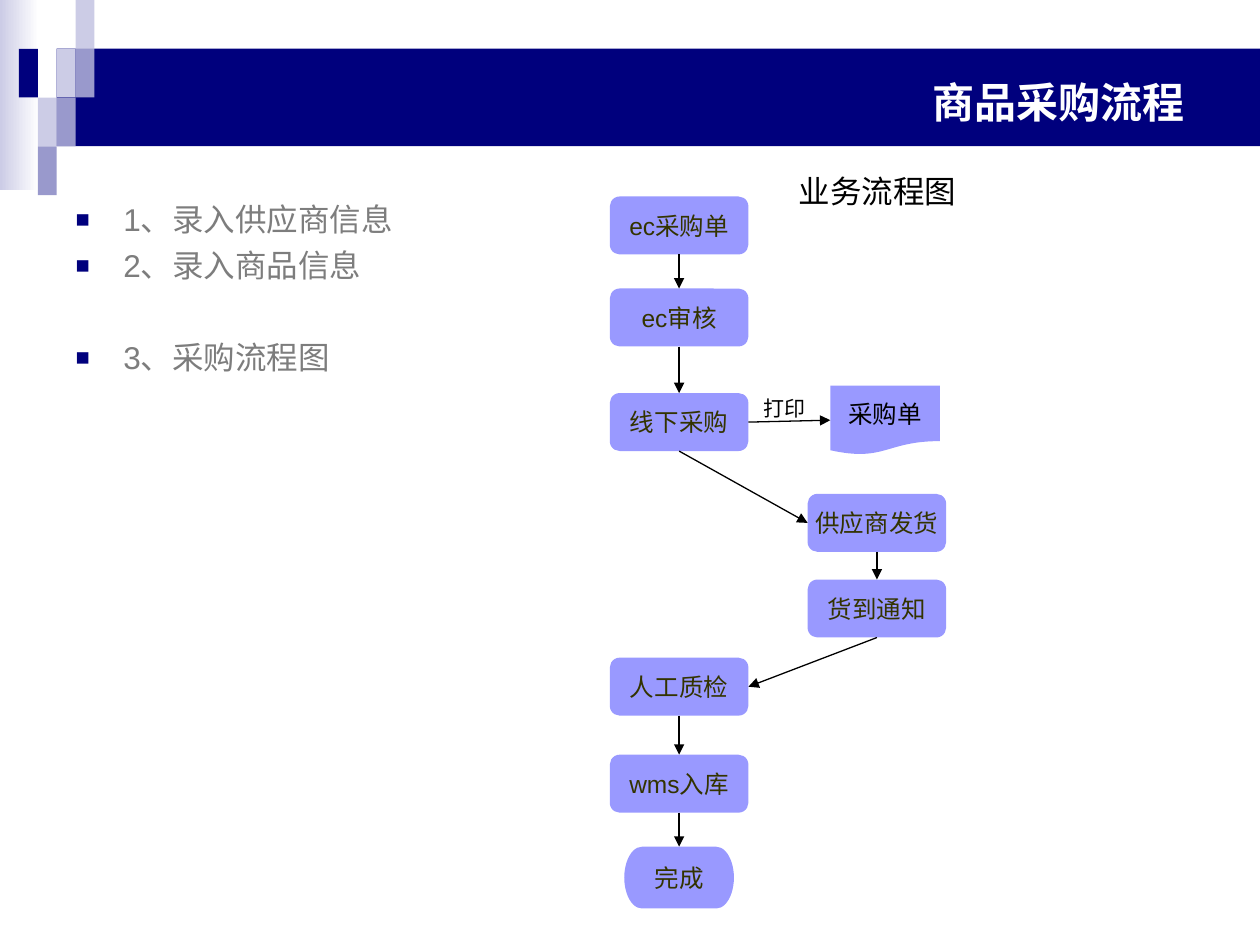
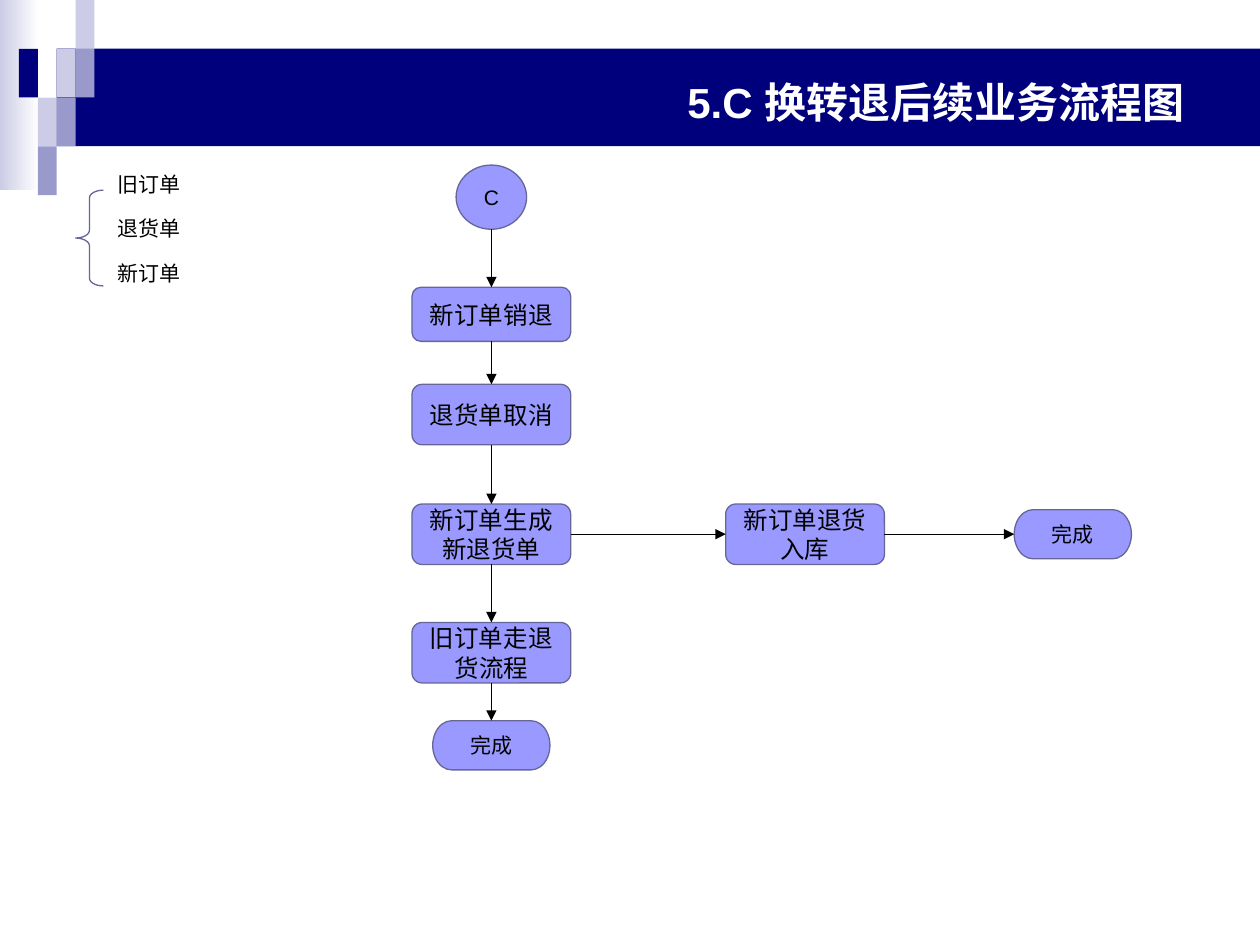
from dataclasses import dataclass

from lxml import etree
from pptx import Presentation
from pptx import util as u
from pptx.dml.color import RGBColor
from pptx.enum import shapes, text
from pptx.oxml.ns import qn

UNIT = u.Inches(0.1)
PRESET = shapes.MSO_SHAPE
TOP, LEFT, BOTTOM, RIGHT = range(4)


@dataclass(frozen=True)
class Theme:
    font: str = "Arial"
    navy: str = "00007D"
    mid: str = "9999CC"
    light: str = "CCCCE6"
    white: str = "FFFFFF"
    black: str = "000000"
    grey: str = "7D7D7D"
    node: str = "9999FF"
    outline: str = "666699"
    olive: str = "333300"
    title_size: int = 24
    list_size: int = 18
    node_size: int = 14
    small_size: int = 12
    line: float = 0.75


THEME = Theme()


@dataclass(frozen=True)
class Box:
    left: float
    top: float
    width: float
    height: float

    def inner(self, left, top, width, height):
        return Box(self.left + left, self.top + top, width, height)

    def emu(self):
        return [round(n * UNIT) for n in (self.left, self.top, self.width, self.height)]


SLIDE = Box(0, 0, 100, 75)


def rgb(code):
    return RGBColor.from_string(code)


def style_text(frame, size, color, align, bold=False):
    for para in frame.paragraphs:
        para.alignment = align
        for span in para.runs:
            span.font.name = THEME.font
            span.font.size = u.Pt(size)
            span.font.bold = bold
            span.font.color.rgb = rgb(color)


def add_figure(parent, preset, box, fill=None, outline=None):
    figure = parent.shapes.add_shape(preset, *box.emu())
    figure.shadow.inherit = False
    if fill:
        figure.fill.solid()
        figure.fill.fore_color.rgb = rgb(fill)
    else:
        figure.fill.background()
    if outline:
        figure.line.color.rgb = rgb(outline)
        figure.line.width = u.Pt(THEME.line)
    else:
        figure.line.fill.background()
    return figure


def add_label(page, box, wording, size):
    label = page.shapes.add_textbox(*box.emu())
    frame = label.text_frame
    frame.text = wording
    frame.word_wrap = False
    frame.auto_size = text.MSO_AUTO_SIZE.SHAPE_TO_FIT_TEXT
    style_text(frame, size, THEME.black, text.PP_ALIGN.LEFT)


def add_node(page, box, wording, preset, color, size=THEME.node_size, outline=None, wrap=False):
    node = add_figure(page, preset, box, THEME.node, outline)
    if preset == PRESET.ROUNDED_RECTANGLE:
        node.adjustments[0] = 0.17
    frame = node.text_frame
    frame.text = wording
    frame.word_wrap = wrap
    frame.vertical_anchor = text.MSO_ANCHOR.MIDDLE
    style_text(frame, size, color, text.PP_ALIGN.CENTER)
    return node


def side_point(node, side):
    across = {LEFT: 0, RIGHT: node.width}.get(side, node.width // 2)
    down = {TOP: 0, BOTTOM: node.height}.get(side, node.height // 2)
    return node.left + across, node.top + down


def add_arrow(page, source, start_side, target, end_side):
    arrow = page.shapes.add_connector(
        shapes.MSO_CONNECTOR.STRAIGHT,
        *side_point(source, start_side), *side_point(target, end_side))
    if source.auto_shape_type != PRESET.FLOWCHART_CONNECTOR:
        arrow.begin_connect(source, start_side)
    arrow.end_connect(target, end_side)
    arrow.line.color.rgb = rgb(THEME.black)
    arrow.line.width = u.Pt(THEME.line)
    etree.SubElement(arrow.line._get_or_add_ln(), qn("a:tailEnd"), type="triangle")
    etree.SubElement(arrow.element.spPr, qn("a:effectLst"))


def put_band_on_master(deck, page, box):
    band = page.shapes.add_group_shape()
    fade = add_figure(band, PRESET.RECTANGLE, box.inner(0, 0, 3.1, 15.1), THEME.white)
    fade.fill.gradient()
    fade.fill.gradient_angle = 180
    for stop, color, position in zip(fade.fill.gradient_stops, (THEME.white, THEME.light), (0, 1)):
        stop.color.rgb = rgb(color)
        stop.position = position
    add_figure(band, PRESET.RECTANGLE, box.inner(4.5, 3.85, box.width - 4.5, 7.75), THEME.navy)
    step_x, step_y = 1.5, 3.87
    tiles = [(3, 1, THEME.light), (4, 0, THEME.light), (4, 1, THEME.mid), (2, 2, THEME.light),
             (1, 1, THEME.navy), (3, 2, THEME.mid), (2, 3, THEME.mid)]
    for column, row, color in tiles:
        tile = box.inner(column * step_x, row * step_y, step_x, step_y)
        add_figure(band, PRESET.RECTANGLE, tile, color)
    deck.slide_master.shapes.element.insert(2, band.element)


def place(holder, box):
    holder.left, holder.top, holder.width, holder.height = box.emu()
    holder.text_frame.auto_size = text.MSO_AUTO_SIZE.NONE


def set_title(page, box, wording):
    title = page.shapes.title
    place(title, box)
    title.text_frame.text = wording
    title.text_frame.vertical_anchor = text.MSO_ANCHOR.MIDDLE
    style_text(title.text_frame, THEME.title_size, THEME.white, text.PP_ALIGN.RIGHT, True)


def set_list(page, box, entries):
    body = page.placeholders[1]
    place(body, box)
    frame = body.text_frame
    frame.text = "\n".join(wording for wording, _ in entries)
    style_text(frame, THEME.list_size, THEME.grey, text.PP_ALIGN.LEFT)
    indent = u.Inches(0.38)
    for para, (_, gap) in zip(frame.paragraphs, entries):
        para.space_before = u.Pt(gap)
        props = para._p.get_or_add_pPr()
        props.set("marL", str(indent))
        props.set("indent", str(-indent))
        color = etree.SubElement(props, qn("a:buClr"))
        etree.SubElement(color, qn("a:srgbClr"), val=THEME.navy)
        etree.SubElement(props, qn("a:buSzPct"), val="75000")
        etree.SubElement(props, qn("a:buFont"), typeface=THEME.font)
        etree.SubElement(props, qn("a:buChar"), char="■")


def draw_purchase_flow(page, box):
    width, height, lane = 11, 4.6, 15.7
    steps = [("ec采购单", 0, 2.4), ("ec审核", 0, 9.7), ("线下采购", 0, 18),
             ("供应商发货", lane, 26), ("货到通知", lane, 32.8),
             ("人工质检", 0, 39), ("wms入库", 0, 46.7)]
    order, review, buying, shipping, notice, checking, storing = [
        add_node(page, box.inner(left, top, width, height), wording,
                 PRESET.ROUNDED_RECTANGLE, THEME.olive)
        for wording, left, top in steps]
    done = add_node(page, box.inner((width - 8.7) / 2, 54, 8.7, 4.9), "完成",
                    PRESET.FLOWCHART_TERMINATOR, THEME.olive)
    sheet = add_node(page, box.inner(17.5, 17.4, 8.7, 5.5), "采购单",
                     PRESET.FLOWCHART_DOCUMENT, THEME.black)
    for source, start, target, end in [
            (order, BOTTOM, review, TOP), (review, BOTTOM, buying, TOP),
            (buying, RIGHT, sheet, LEFT), (buying, BOTTOM, shipping, LEFT),
            (shipping, BOTTOM, notice, TOP), (notice, BOTTOM, checking, RIGHT),
            (checking, BOTTOM, storing, TOP), (storing, BOTTOM, done, TOP)]:
        add_arrow(page, source, start, target, end)
    add_label(page, box.inner(11.2, 17.7, 5.3, 3), "打印", THEME.small_size)
    add_label(page, box.inner(14, 0, 14.5, 4), "业务流程图", THEME.list_size)


def draw_order_key(page, box):
    brace = add_figure(page, PRESET.LEFT_BRACE, box.inner(0, 2, 2.2, 7.6), outline=THEME.outline)
    brace.adjustments[0] = 0.28
    for row, wording in enumerate(["旧订单", "退货单", "新订单"]):
        add_label(page, box.inner(2.35, row * 3.55, 7, 3), wording, THEME.small_size)


def draw_return_flow(page, box):
    def step(wording, center, top, width=12.6, height=4.8,
             preset=PRESET.FLOWCHART_ALTERNATE_PROCESS, size=THEME.node_size):
        return add_node(page, box.inner(center - width / 2, top, width, height), wording,
                        preset, THEME.black, size, THEME.outline, wrap=size == THEME.node_size)

    def finish(center, top):
        return step("完成", center, top, 9.3, 3.9, PRESET.FLOWCHART_TERMINATOR, THEME.small_size)

    main, side, last = 6.3, 31.2, 52.45
    column = [
        step("C", main, 0, 5.6, 5.1, PRESET.FLOWCHART_CONNECTOR, THEME.small_size),
        step("新订单销退", main, 9.7, height=4.3),
        step("退货单取消", main, 17.4),
        step("新订单生成新退货单", main, 26.9),
        step("旧订单走退货流程", main, 36.3),
        finish(main, 44.1)]
    branch = [column[3], step("新订单退货入库", side, 26.9), finish(last, 27.35)]
    for chain, start, end in [(column, BOTTOM, TOP), (branch, RIGHT, LEFT)]:
        for source, target in zip(chain, chain[1:]):
            add_arrow(page, source, start, target, end)


def main():
    deck = Presentation()
    deck.slide_width, deck.slide_height = SLIDE.emu()[2:]
    title_box = SLIDE.inner(5, 3, 90, 10.1)

    purchase = deck.slides.add_slide(deck.slide_layouts[1])
    put_band_on_master(deck, purchase, SLIDE)
    set_title(purchase, title_box, "商品采购流程")
    set_list(purchase, SLIDE.inner(5, 15.4, 90, 51.6),
             [("1、录入供应商信息", 4.5), ("2、录入商品信息", 4.5), ("3、采购流程图", 31)])
    draw_purchase_flow(purchase, SLIDE.inner(48.4, 13.2, 28.5, 59))

    returns = deck.slides.add_slide(deck.slide_layouts[5])
    set_title(returns, title_box, "5.C 换转退后续业务流程图")
    draw_order_key(returns, SLIDE.inner(6, 13.1, 9.4, 10.1))
    draw_return_flow(returns, SLIDE.inner(32.7, 13.1, 57.1, 48))

    deck.save("out.pptx")


if __name__ == "__main__":
    main()
